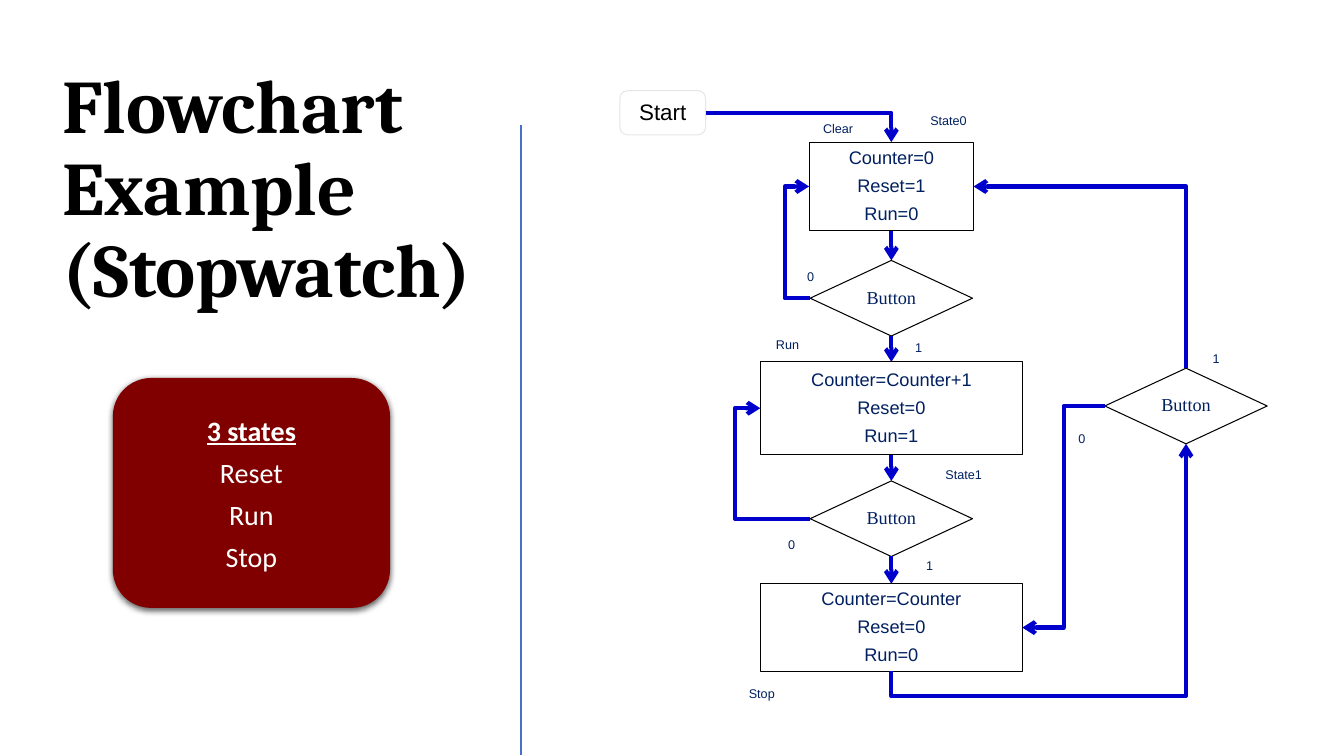
import collections

import lxml.etree
import pptx
import pptx.dml.color
import pptx.enum.shapes
import pptx.enum.text
import pptx.oxml.ns
import pptx.util

Pt = pptx.util.Pt
RGB = pptx.dml.color.RGBColor
KIND = pptx.enum.shapes.MSO_SHAPE
LINK = pptx.enum.shapes.MSO_CONNECTOR
ALIGN = pptx.enum.text.PP_ALIGN
ANCHOR = pptx.enum.text.MSO_ANCHOR
qn = pptx.oxml.ns.qn
Box = collections.namedtuple("Box", "x y w h")

BLACK = RGB(0x00, 0x00, 0x00)
WHITE = RGB(0xFF, 0xFF, 0xFF)
NAVY = RGB(0x00, 0x20, 0x60)
BLUE = RGB(0x00, 0x00, 0xCC)
RULE = RGB(0x44, 0x72, 0xC4)
GREY = RGB(0xE7, 0xE6, 0xE6)
MAROON = RGB(0x80, 0x00, 0x00)
TOP, LEFT, BOTTOM, RIGHT = range(4)


def style(run, face, size, color, bold=False):
    """Format one run of text."""
    font = run.font
    font.name, font.size, font.bold = face, Pt(size), bold
    font.color.rgb = color


def write(shape, lines, face, size, color, align=ALIGN.CENTER, pitch=0.9):
    """Fill a shape with one paragraph per line and return the runs."""
    frame = shape.text_frame
    frame.word_wrap = True
    frame.vertical_anchor = ANCHOR.MIDDLE
    runs = []
    for i, line in enumerate(lines):
        para = frame.add_paragraph() if i else frame.paragraphs[0]
        para.alignment, para.line_spacing = align, pitch
        para.space_after = Pt(6)
        run = para.add_run()
        run.text = line
        style(run, face, size, color)
        runs.append(run)
    return runs


def draw(slide, kind, box, fill=None, edge=None):
    """Add a preset shape with a plain fill and a thin outline."""
    shape = slide.shapes.add_shape(kind, *map(Pt, box))
    shape.shadow.inherit = False
    if fill is None:
        shape.fill.background()
    else:
        shape.fill.solid()
        shape.fill.fore_color.rgb = fill
    if edge is None:
        shape.line.fill.background()
    else:
        shape.line.color.rgb, shape.line.width = edge, Pt(0.75)
    return shape


def trace(link, color, width, end=None):
    """Colour a connector, clear its shadow and add an arrowhead."""
    link.line.color.rgb, link.line.width = color, Pt(width)
    props = link.element.spPr
    if end:
        lxml.etree.SubElement(props.find(qn("a:ln")), qn("a:" + end), type="arrow")
    lxml.etree.SubElement(props, qn("a:effectLst"))


def drop(slide, start, stop):
    """Join two nodes with a straight arrow downwards."""
    link = slide.shapes.add_connector(LINK.STRAIGHT, 0, 0, 0, 0)
    link.begin_connect(start, BOTTOM)
    link.end_connect(stop, TOP)
    trace(link, BLUE, 3, "tailEnd")


def spot(node, side):
    """Return the middle of one side of a node."""
    across = {LEFT: 0, RIGHT: node.width}.get(side, node.width // 2)
    down = {TOP: 0, BOTTOM: node.height}.get(side, node.height // 2)
    return node.left + across, node.top + down


def elbow(slide, start, stop, via=None, turn=False, end="tailEnd"):
    """Draw a bent arrow, with a middle leg at via or a single corner."""
    axis = 1 if turn else 0
    first, last = start, stop
    if turn:
        mid = [(a + b) // 2 for a, b in zip(start, stop)]
        first, last = [(mid[0] + y - mid[1], mid[1] - x + mid[0])
                       for x, y in (start, stop)]
    link = slide.shapes.add_connector(LINK.ELBOW, *first, *last)
    props = link.element.spPr
    if turn:
        props.find(qn("a:xfrm")).set("rot", "5400000")
    geom = props.find(qn("a:prstGeom"))
    if via is None:
        geom.set("prst", "bentConnector2")
    else:
        part = (via - start[axis]) / (stop[axis] - start[axis])
        lxml.etree.SubElement(geom.find(qn("a:avLst")), qn("a:gd"),
                              name="adj1", fmla=f"val {round(part * 100000)}")
    trace(link, BLUE, 3, end)


def head(slide, box):
    """Place the slide title."""
    title = slide.shapes.title
    title.left, title.top, title.width, title.height = map(Pt, box)
    frame = title.text_frame
    frame.word_wrap = True
    frame.vertical_anchor = ANCHOR.TOP
    para = frame.paragraphs[0]
    para.alignment, para.line_spacing = ALIGN.LEFT, 0.9
    for i, text in enumerate(("Flowchart Example", "(Stopwatch)")):
        if i:
            para.add_line_break()
        run = para.add_run()
        run.text = text
        style(run, "Cambria", 54, BLACK, True)


def rule(slide, box):
    """Draw the upright divider along the left of the box."""
    link = slide.shapes.add_connector(
        LINK.STRAIGHT, *map(Pt, (box.x, box.y, box.x, box.y + box.h)))
    trace(link, RULE, 2)


def card(slide, box):
    """Draw the shaded card that lists the states."""
    shape = draw(slide, KIND.ROUNDED_RECTANGLE, box, MAROON)
    runs = write(shape, ("3 states", "Reset", "Run", "Stop"),
                 "Calibri", 20, WHITE, pitch=1.0)
    runs[0].font.bold = runs[0].font.underline = True
    glow = lxml.etree.SubElement(
        shape.element.spPr.find(qn("a:effectLst")), qn("a:outerShdw"),
        blurRad=str(Pt(4.5)), dist=str(Pt(1.5)), dir="5400000", rotWithShape="0")
    tint = lxml.etree.SubElement(glow, qn("a:srgbClr"), val="000000")
    lxml.etree.SubElement(tint, qn("a:alpha"), val="63000")


def chart(slide, box):
    """Draw the stopwatch flowchart inside the box."""
    axis, edge = box.x + 196.7, box.x + 407.2

    def state(top, width, height, *lines):
        """Add a state centred on the main axis."""
        node = draw(slide, KIND.FLOWCHART_PROCESS,
                    Box(axis - width / 2, box.y + top, width, height), WHITE, BLACK)
        write(node, lines, "Arial", 13, NAVY)
        return node

    def button(mid, top):
        """Add a decision centred on mid."""
        node = draw(slide, KIND.FLOWCHART_DECISION,
                    Box(mid - 58, box.y + top, 116, 54), WHITE, BLACK)
        write(node, ["Button"], "Times New Roman", 13, NAVY)
        return node

    def label(text, x, y, width, align=ALIGN.LEFT):
        """Add a small caption."""
        note = slide.shapes.add_textbox(
            *map(Pt, (box.x + x, box.y + y, width, 18)))
        write(note, [text], "Arial", 9, NAVY, align)

    start = draw(slide, KIND.ROUNDED_RECTANGLE,
                 Box(box.x + 2.8, box.y + 4.8, 61.2, 31.5), edge=GREY)
    write(start, ["Start"], "Arial", 16, BLACK)
    clear = state(41.5, 117.5, 63.4, "Counter=0", "Reset=1", "Run=0")
    begin = button(axis, 126)
    run = state(198.5, 187.2, 66.2, "Counter=Counter+1", "Reset=0", "Run=1")
    pause = button(axis, 283.5)
    stop = state(357, 187.2, 62.5, "Counter=Counter", "Reset=0", "Run=0")
    again = button(edge, 203)

    chain = (clear, begin, run, pause, stop)
    for upper, lower in zip(chain, chain[1:]):
        drop(slide, upper, lower)
    elbow(slide, spot(start, RIGHT), spot(clear, TOP))
    elbow(slide, spot(clear, RIGHT), spot(again, TOP), end="headEnd")
    for node, goal, side, x in ((begin, clear, LEFT, 120.2),
                                (pause, run, LEFT, 85),
                                (again, stop, RIGHT, 319.8)):
        elbow(slide, spot(node, LEFT), spot(goal, side), Pt(box.x + x))
    elbow(slide, spot(stop, BOTTOM), spot(again, BOTTOM),
          Pt(box.y + 437), turn=True)

    label("Clear", 120.9, 23.5, 75.6, ALIGN.CENTER)
    for text, x, y, width in (("State0", 217.4, 17.8, 84),
                              ("State1", 228.2, 270.5, 84),
                              ("Run", 107.2, 177.6, 50),
                              ("Stop", 87.8, 426.7, 84)):
        label(text, x, y, width)
    for text, x, y in (("0", 129.5, 129.4), ("1", 206.6, 179.8),
                       ("0", 115.8, 320.2), ("1", 214.5, 335.3),
                       ("0", 323.2, 244.6), ("1", 419, 187.7)):
        label(text, x, y, 27.4)


def main():
    """Build and save the slide."""
    deck = pptx.Presentation()
    deck.slide_width, deck.slide_height = Pt(960), Pt(540)
    slide = deck.slides.add_slide(deck.slide_layouts[5])
    head(slide, Box(37.4, 45.4, 326.2, 478.8))
    rule(slide, Box(372.2, 89, 0, 450.5))
    chart(slide, Box(440, 60, 470, 450))
    card(slide, Box(80.6, 270, 198, 164.2))
    deck.save("out.pptx")


if __name__ == "__main__":
    main()
